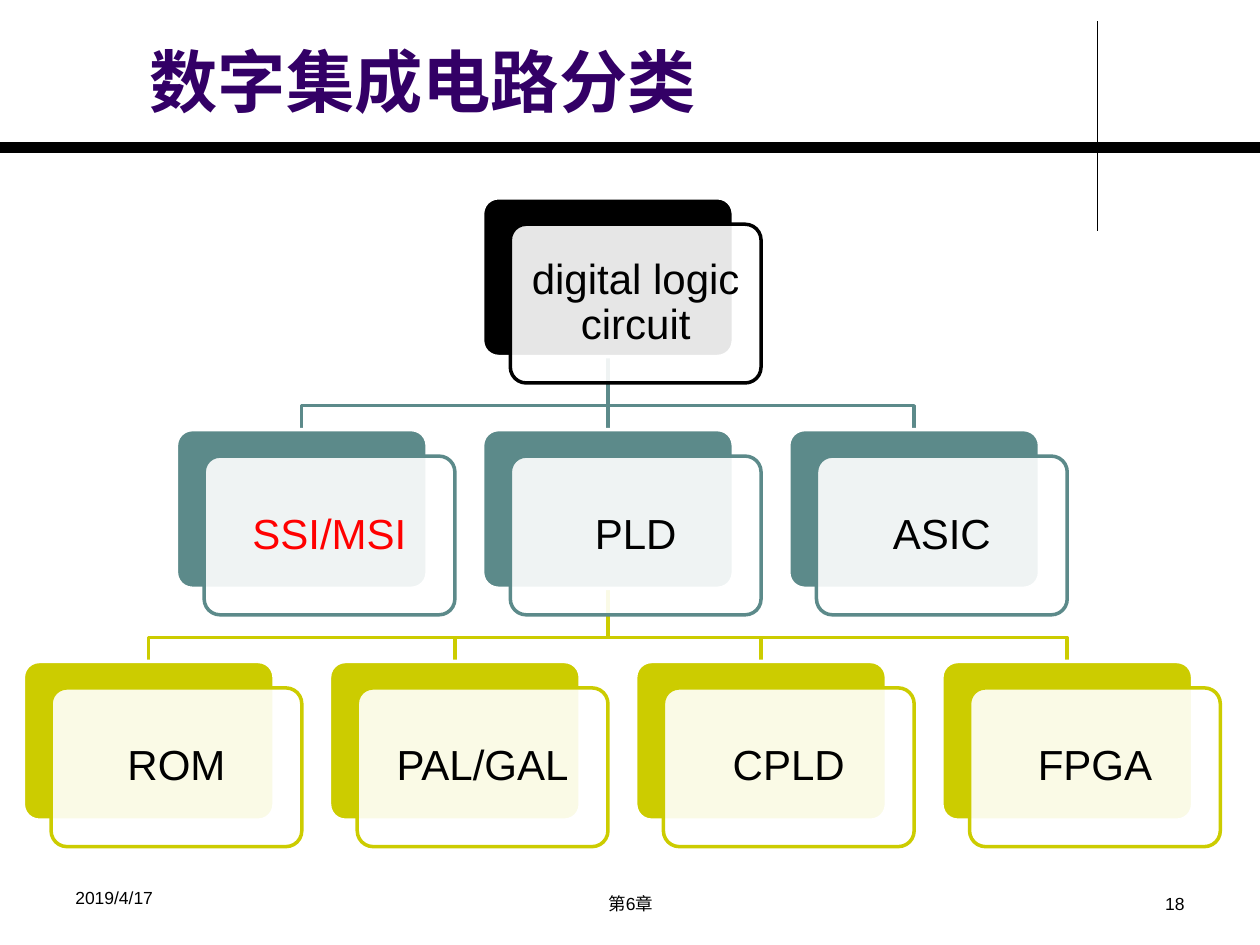
from dataclasses import dataclass

from lxml import etree
from pptx import Presentation
from pptx import util as u
from pptx.dml.color import RGBColor
from pptx.enum import shapes, text
from pptx.oxml.ns import qn

COLORS = {
    "black": "000000",
    "white": "FFFFFF",
    "title": "330066",
    "teal": "5C8A8A",
    "olive": "CCCC00",
    "red": "FF0000",
}
FONT = "Arial"
CARD_W, CARD_H = 1.99, 1.26
CENTER_LEFT, FIRST_TOP = 3.83, 1.57
COL_STEP, ROW_STEP = 2.43, 1.84
FRONT_DX, FRONT_DY = 0.22, 0.21
BEND_GAP = 0.19  # from the crossbar of a branch down to the child cards


@dataclass
class Level:
    labels: list[str]
    color: str
    parent: int = 0  # index of the parent card in the level above


@dataclass
class Label:
    text: str
    left: float
    top: float
    width: float
    height: float
    size: float
    color: str = "black"
    bold: bool = False
    align: text.PP_ALIGN = text.PP_ALIGN.LEFT
    anchor: text.MSO_ANCHOR = text.MSO_ANCHOR.TOP


LEVELS = [
    Level(["digital logic circuit"], "black"),
    Level(["SSI/MSI", "PLD", "ASIC"], "teal"),
    Level(["ROM", "PAL/GAL", "CPLD", "FPGA"], "olive", parent=1),
]
TEXT_COLORS = {"SSI/MSI": "red"}
LABELS = [
    Label("数字集成电路分类", 1.09, 0.2, 7.55, 0.81, 39, "title", True,
          anchor=text.MSO_ANCHOR.BOTTOM),
    Label("第6章", 3.42, 7.04, 3.17, 0.29, 10, align=text.PP_ALIGN.CENTER),
    Label("18", 7.17, 7.04, 2.33, 0.29, 10, align=text.PP_ALIGN.RIGHT),
    Label("2019/4/17", 0.5, 6.99, 2.33, 0.34, 10),
]


def rgb(name: str) -> RGBColor:
    return RGBColor.from_string(COLORS[name])


def set_line(sp, color: str, width: float) -> None:
    sp.line.color.rgb = rgb(color)
    sp.line.width = u.Pt(width)


def add_run(p, words: str, size: float, color: str, bold: bool = False) -> None:
    r = p.add_run()
    r.text = words
    r.font.name = FONT
    r.font.size = u.Pt(size)
    r.font.bold = bold
    r.font.color.rgb = rgb(color)


def add_label(s, label: Label) -> None:
    sp = s.shapes.add_textbox(*map(u.Inches, (label.left, label.top, label.width, label.height)))
    tf = sp.text_frame
    tf.word_wrap = True
    tf.vertical_anchor = label.anchor
    p = tf.paragraphs[0]
    p.alignment = label.align
    add_run(p, label.text, label.size, label.color, label.bold)


def add_line(s, x1: float, y1: float, x2: float, y2: float, color: str, width: float):
    line = s.shapes.add_connector(shapes.MSO_CONNECTOR.STRAIGHT,
                                  *map(u.Inches, (x1, y1, x2, y2)))
    set_line(line, color, width)
    etree.SubElement(line._element.spPr, qn("a:effectLst"))
    return line


def add_elbow(s, x1: float, y1: float, x2: float, y2: float, color: str) -> None:
    """Draw a branch that goes down, across and down again."""
    bend = y2 - BEND_GAP
    fb = s.shapes.build_freeform(u.Inches(x1), u.Inches(y1))
    points = [(x1, bend), (x2, bend), (x2, y2)]
    fb.add_line_segments([(u.Inches(x), u.Inches(y)) for x, y in points], close=False)
    sp = fb.convert_to_shape()
    sp.shadow.inherit = False
    sp.fill.background()
    set_line(sp, color, 2)


def add_round_rect(s, left: float, top: float, fill: str, line: str):
    sp = s.shapes.add_shape(shapes.MSO_SHAPE.ROUNDED_RECTANGLE,
                            *map(u.Inches, (left, top, CARD_W, CARD_H)))
    sp.adjustments[0] = 0.1
    sp.shadow.inherit = False
    sp.fill.solid()
    sp.fill.fore_color.rgb = rgb(fill)
    set_line(sp, line, 2)
    return sp


def add_card(s, left: float, top: float, words: str, color: str):
    """Draw a solid card with a translucent labelled one over it; return the solid card."""
    back = add_round_rect(s, left, top, color, "white")
    front = add_round_rect(s, left + FRONT_DX, top + FRONT_DY, "white", color)
    srgb = front._element.spPr.find(qn("a:solidFill")).find(qn("a:srgbClr"))
    etree.SubElement(srgb, qn("a:alpha"), val="90000")
    tf = front.text_frame
    tf.word_wrap = True
    tf.vertical_anchor = text.MSO_ANCHOR.MIDDLE
    tf.margin_left = tf.margin_right = tf.margin_top = tf.margin_bottom = u.Inches(0.1)
    p = tf.paragraphs[0]
    p.alignment = text.PP_ALIGN.CENTER
    p.line_spacing = 0.9
    add_run(p, words, 24, TEXT_COLORS.get(words, "black"))
    return back


def card_left(index: int, count: int) -> float:
    return CENTER_LEFT + (index - (count - 1) / 2) * COL_STEP


def add_tree(s) -> None:
    """Draw all branches first so that the cards lie over them."""
    straight = []
    for row in range(1, len(LEVELS)):
        level, above = LEVELS[row], LEVELS[row - 1]
        y2 = FIRST_TOP + row * ROW_STEP
        y1 = y2 - ROW_STEP + CARD_H
        x1 = card_left(level.parent, len(above.labels)) + CARD_W / 2
        for i in range(len(level.labels)):
            x2 = card_left(i, len(level.labels)) + CARD_W / 2
            if abs(x1 - x2) < 0.01:
                line = add_line(s, x1, y1, x2, y2, level.color, 2)
                straight.append((line, (row - 1, level.parent), (row, i)))
            else:
                add_elbow(s, x1, y1, x2, y2, level.color)

    cards = {}
    for row, level in enumerate(LEVELS):
        for i, words in enumerate(level.labels):
            cards[row, i] = add_card(s, card_left(i, len(level.labels)),
                                     FIRST_TOP + row * ROW_STEP, words, level.color)
    for line, parent, child in straight:
        line.begin_connect(cards[parent], 2)
        line.end_connect(cards[child], 0)


def main() -> None:
    prs = Presentation()
    prs.slide_width, prs.slide_height = u.Inches(10), u.Inches(7.5)
    s = prs.slides.add_slide(prs.slide_layouts[6])
    add_line(s, 8.71, 0.17, 8.71, 1.83, "black", 0.75)
    add_line(s, 0, 1.17, 10, 1.17, "black", 6)
    add_tree(s)
    for label in LABELS:
        add_label(s, label)
    prs.save("out.pptx")


if __name__ == "__main__":
    main()
